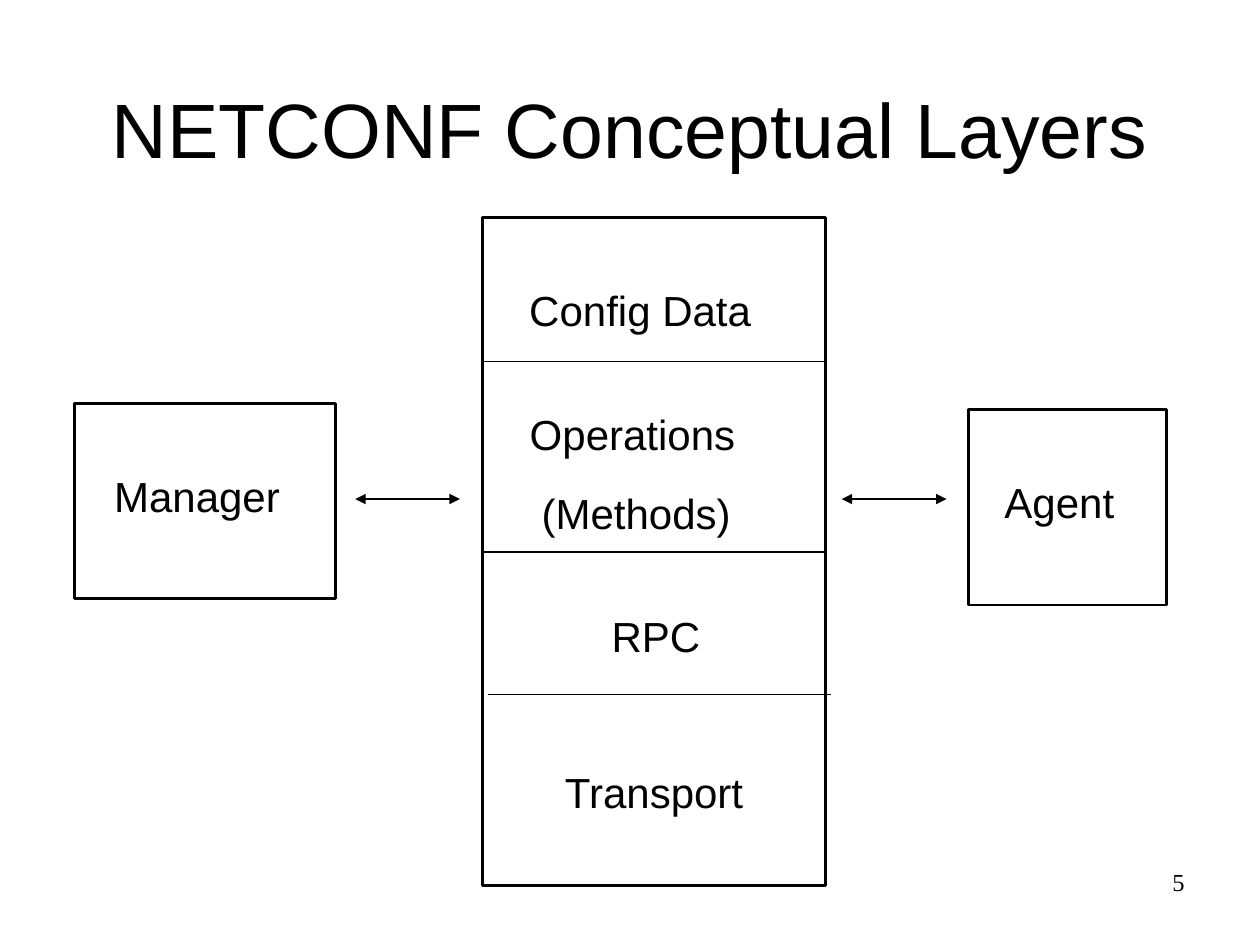
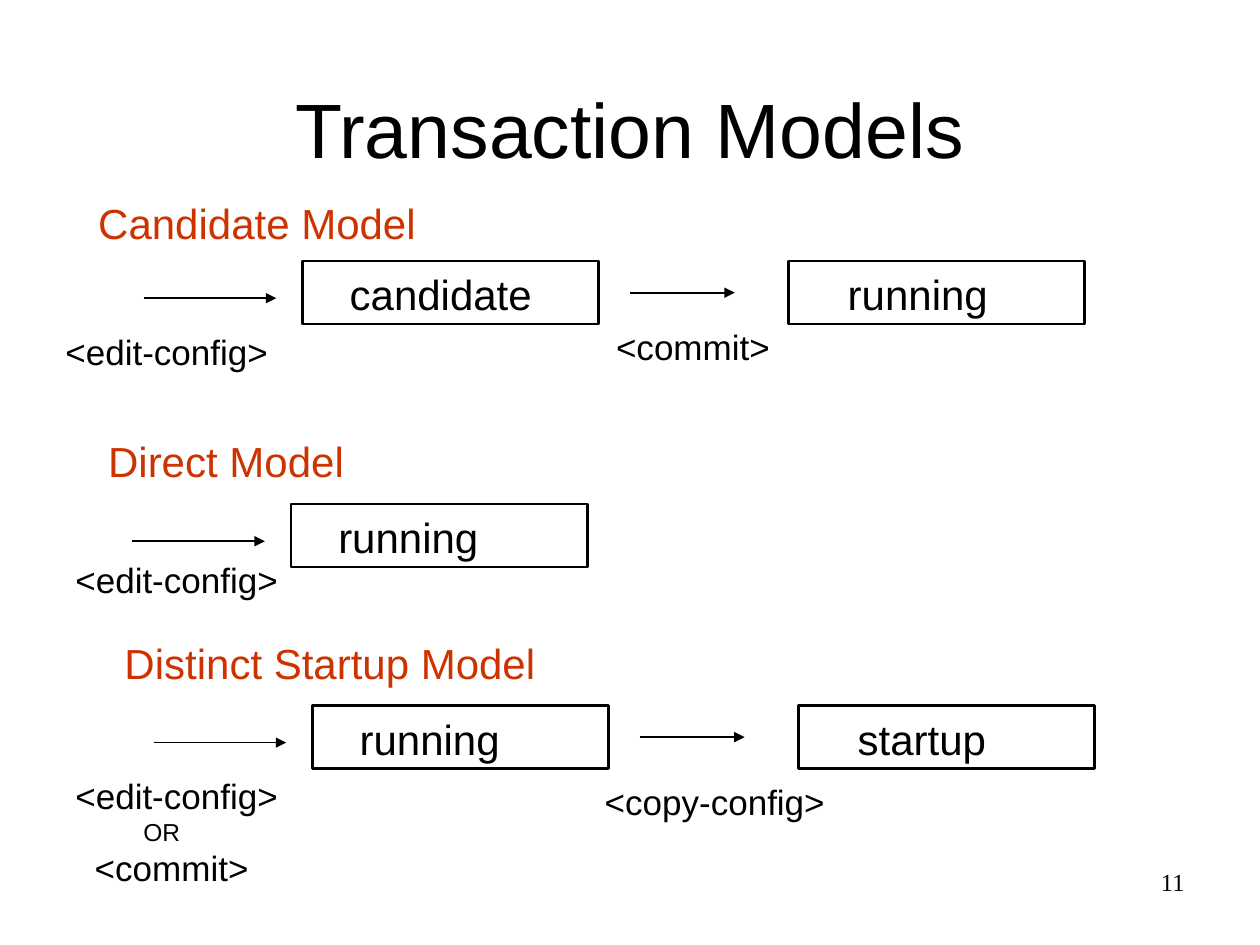
from lxml.etree import SubElement
from pptx import Presentation
from pptx.dml.color import RGBColor
from pptx.enum.shapes import MSO_CONNECTOR, MSO_SHAPE
from pptx.enum.text import MSO_ANCHOR, MSO_AUTO_SIZE, PP_ALIGN
from pptx.oxml.ns import qn
from pptx.util import Cm, Pt

BLACK = RGBColor(0x00, 0x00, 0x00)
RED = RGBColor(0xCC, 0x33, 0x00)
FONT = "Arial"
NUMBER_FONT = "Times New Roman"

# Content of the layers slide (lengths in cm, space before in points)
LAYERS_TITLE, LAYERS_NUMBER = "NETCONF Conceptual Layers", "5"
TOWER = (9.73, 4.39, 6.91, 13.46)
LAYERS = [  # text, indent, space before
    ("Config Data", 0.69, 0),
    ("Operations", 0.7, 42),
    ("(Methods)", 0.94, 16),
    ("RPC", 2.35, 42),
    ("Transport", 1.41, 60),
]
DIVIDERS = [(9.71, 7.29), (9.71, 11.13), (9.83, 14.0)]  # left, top
DIVIDER_WIDTH = 6.93
PEERS = [  # name, indent, position and size
    ("Manager", 0.55, (1.5, 8.13, 5.26, 3.94)),
    ("Agent", 0.47, (19.53, 8.26, 3.99, 3.94)),
]
EXCHANGES = [7.16, 16.97]  # left ends of the two-way arrows
EXCHANGE_TOP = 10.06
TOP_INSET = 1.35

# Content of the transaction slide
MODELS_TITLE, MODELS_NUMBER = "Transaction Models", "11"
MODELS = [
    {
        "heading": ("Candidate Model", (1.73, 3.86, 6.91)),
        "store": ("candidate", 6.1, 5.26),
        "edit": ([("<edit-config>", 0, 20)], (1.07, 6.53)),
        "next": ("running", "<commit>", (12.17, 6.43, 3.61)),
    },
    {
        "heading": ("Direct Model", (1.93, 8.66, 5.26)),
        "store": ("running", 5.87, 10.16),
        "edit": ([("<edit-config>", 0, 20)], (1.27, 11.13)),
    },
    {
        "heading": ("Distinct Startup Model", (2.26, 12.73, 8.79)),
        "store": ("running", 6.3, 14.22),
        "edit": ([("<edit-config>", 0, 20), ("OR", 1.37, 14),
                  ("<commit>", 0.39, 20)], (1.27, 15.49)),
        "next": ("startup", "<copy-config>", (11.94, 15.6, 4.95)),
    },
]
STORE_SIZE = (5.97, 1.27)
STORE_PITCH = 9.8
EDIT_ARROW = (-3.2, -0.53, 0.75)  # from, to and drop relative to the store
NEXT_ARROW = (6.6, 8.71, 0.64)
EDIT_WIDTH = 4.6
ARROW_LENGTH = 2.11


def write(frame, text, size=24, color=BLACK, font=FONT, indent=0, before=0,
          align=PP_ALIGN.LEFT, first=True):
    """Put one formatted paragraph into a text frame."""
    paragraph = frame.paragraphs[0] if first else frame.add_paragraph()
    paragraph.text = text
    paragraph.alignment = align
    paragraph.space_before = Pt(before)
    if indent:
        properties = paragraph._p.get_or_add_pPr()
        properties.set("marL", str(Cm(indent)))
        properties.set("indent", "0")
    paragraph.font.size = Pt(size)
    paragraph.font.name = font
    paragraph.font.color.rgb = color


def add_box(slide, place, top_inset):
    box = slide.shapes.add_shape(MSO_SHAPE.RECTANGLE, *map(Cm, place))
    box.shadow.inherit = False
    box.fill.background()
    box.line.color.rgb = BLACK
    box.line.width = Pt(1.5)
    frame = box.text_frame
    frame.word_wrap = True
    frame.vertical_anchor = MSO_ANCHOR.TOP
    frame.margin_top = Cm(top_inset)
    return frame


def add_label(slide, left, top, width, height=1.27, wrap=False):
    label = slide.shapes.add_textbox(Cm(left), Cm(top), Cm(width), Cm(height))
    label.text_frame.word_wrap = wrap
    return label.text_frame


def add_line(slide, left, right, top, ends=()):
    line = slide.shapes.add_connector(
        MSO_CONNECTOR.STRAIGHT, Cm(left), Cm(top), Cm(right), Cm(top))
    line.line.color.rgb = BLACK
    line.line.width = Pt(1)
    for end in ends:
        SubElement(line.line._get_or_add_ln(), qn(f"a:{end}"), type="triangle")
    SubElement(line._element.spPr, qn("a:effectLst"))


def add_slide(deck, title, number):
    """Start a slide with the shared title and page number."""
    slide = deck.slides.add_slide(deck.slide_layouts[5])
    heading = slide.shapes.title
    heading.left, heading.top, heading.width, heading.height = map(
        Cm, (1.27, 1.04, 22.86, 2.59))
    heading.text_frame.vertical_anchor = MSO_ANCHOR.BOTTOM
    heading.text_frame.auto_size = MSO_AUTO_SIZE.NONE
    write(heading.text_frame, title, size=44, align=PP_ALIGN.CENTER)
    write(add_label(slide, 18.21, 17.35, 5.92, 1.32, wrap=True), number,
          size=14, font=NUMBER_FONT, align=PP_ALIGN.RIGHT)
    return slide


def build_layers(deck):
    slide = add_slide(deck, LAYERS_TITLE, LAYERS_NUMBER)
    # Manager and agent
    for name, indent, place in PEERS:
        write(add_box(slide, place, TOP_INSET), name, indent=indent)
    # Layer tower with its dividers
    tower = add_box(slide, TOWER, TOP_INSET)
    for index, (layer, indent, before) in enumerate(LAYERS):
        write(tower, layer, indent=indent, before=before, first=index == 0)
    for left, top in DIVIDERS:
        add_line(slide, left, left + DIVIDER_WIDTH, top)
    # Two-way exchanges
    for left in EXCHANGES:
        add_line(slide, left, left + ARROW_LENGTH, EXCHANGE_TOP,
                 ends=("headEnd", "tailEnd"))


def build_models(deck):
    slide = add_slide(deck, MODELS_TITLE, MODELS_NUMBER)
    for model in MODELS:
        # Heading
        heading, place = model["heading"]
        write(add_label(slide, *place), heading, color=RED)
        # First data store and the commands that edit it
        store, left, top = model["store"]
        stores, arrows = [(store, left, 0.7)], [EDIT_ARROW]
        commands, place = model["edit"]
        label = add_label(slide, *place, EDIT_WIDTH, 1.12)
        for index, (command, indent, size) in enumerate(commands):
            write(label, command, size=size, indent=indent, first=index == 0)
        # Second data store, where the model has one
        if "next" in model:
            store, command, place = model["next"]
            stores.append((store, left + STORE_PITCH, 0.94))
            arrows.append(NEXT_ARROW)
            write(add_label(slide, *place, 1.12), command, size=20)
        for store, store_left, indent in stores:
            write(add_box(slide, (store_left, top, *STORE_SIZE), 0.16), store,
                  indent=indent)
        for start, end, drop in arrows:
            add_line(slide, left + start, left + end, top + drop,
                     ends=("tailEnd",))


def main():
    deck = Presentation()
    deck.slide_width, deck.slide_height = Cm(25.4), Cm(19.05)
    build_layers(deck)
    build_models(deck)
    deck.save("out.pptx")


if __name__ == "__main__":
    main()
